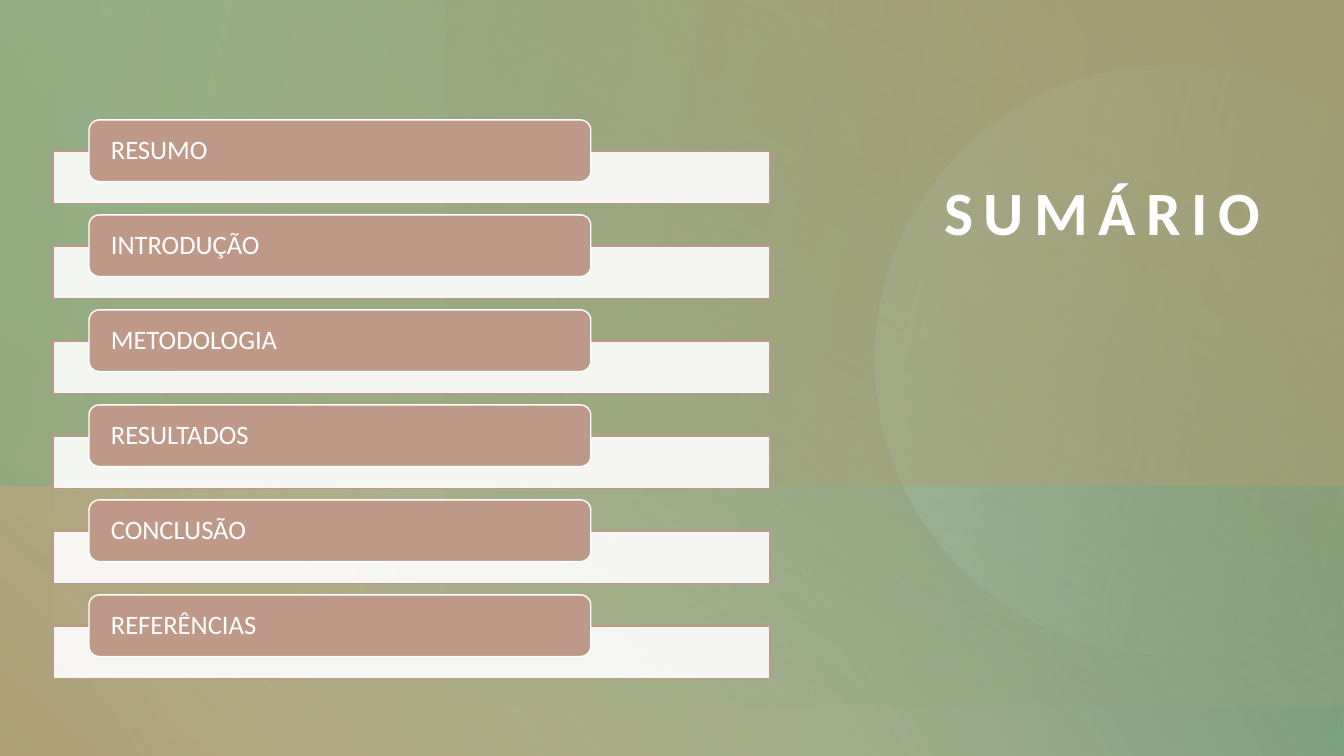
from dataclasses import dataclass
from math import acos, cos, degrees, radians, sin

from lxml.etree import SubElement
from pptx import Presentation
from pptx.dml.color import RGBColor
from pptx.enum.shapes import MSO_SHAPE as Shape
from pptx.enum.text import MSO_ANCHOR as Anchor, MSO_AUTO_SIZE as AutoSize, PP_ALIGN as Align
from pptx.oxml.ns import qn
from pptx.util import Pt

SLIDE_W, SLIDE_H = 960, 540
TOPICS = ["RESUMO", "INTRODUÇÃO", "METODOLOGIA", "RESULTADOS", "CONCLUSÃO", "REFERÊNCIAS"]


@dataclass(frozen=True)
class Theme:
    font: str = "Calibri"
    title_size: int = 44
    topic_size: int = 19
    white: str = "FFFFFF"
    clay: str = "BF9988"
    olive: str = "8CAB74"
    sand: str = "AFA077"
    pale_sand: str = "CFC6AD"
    sage: str = "82AC81"
    forest: str = "528A68"
    mint: str = "77AE8D"
    pale_mint: str = "ADCEBB"


THEME = Theme()


def rgb(color):
    return RGBColor.from_string(color)


def set_opacity(shape, percents):
    """Apply one opacity to each fill colour of the shape, in order."""
    colors = shape.element.spPr.iter(qn("a:srgbClr"))
    for color, percent in zip(colors, percents):
        if percent < 100:
            SubElement(color, qn("a:alpha")).set("val", str(percent * 1000))


def fill_gradient(shape, stops, clockwise_angle):
    """Fill with two (position %, colour, opacity %) stops and no outline."""
    shape.shadow.inherit = False
    shape.fill.gradient()
    shape.fill.gradient_angle = 360 - clockwise_angle
    for stop, (position, color, _) in zip(shape.fill.gradient_stops, stops):
        stop.position = position / 100
        stop.color.rgb = rgb(color)
    set_opacity(shape, [opacity for _, _, opacity in stops])
    shape.line.fill.background()


def add_wash(slide, box, stops, angle, mirrored=True):
    wash = slide.shapes.add_shape(Shape.RECTANGLE, *map(Pt, box))
    fill_gradient(wash, stops, angle)
    wash.rotation = 180
    if mirrored:
        wash.element.spPr.find(qn("a:xfrm")).set("flipH", "1")


def add_disc(slide, center_x, center_y, radius, right_edge):
    """Add a circle cut off by a vertical line at right_edge."""
    cut = degrees(acos((right_edge - center_x) / radius))
    steps = 120
    angles = [radians(cut + (360 - 2 * cut) * i / steps) for i in range(steps + 1)]
    points = [(Pt(center_x + radius * cos(a)), Pt(center_y + radius * sin(a))) for a in angles]
    outline = slide.shapes.build_freeform(*points[0])
    outline.add_line_segments(points[1:], close=True)
    fill_gradient(outline.convert_to_shape(),
                  [(0, THEME.mint, 0), (85, THEME.pale_mint, 29)], 193)


def add_backdrop(slide, width, height):
    slide.background.fill.solid()
    slide.background.fill.fore_color.rgb = rgb(THEME.white)
    add_wash(slide, (0, 0, width, height),
             [(0, THEME.olive, 61), (100, THEME.sand, 100)], 230)
    add_wash(slide, (38, 0, width - 38, height),
             [(6, THEME.forest, 93), (100, THEME.pale_sand, 0)], 330, mirrored=False)
    add_wash(slide, (318, 0, width - 318, height - 36),
             [(22, THEME.sand, 68), (99, THEME.sage, 0)], 240)
    add_disc(slide, 836, 257, 211, width)
    add_wash(slide, (0, 0, width, 346.5),
             [(22, THEME.sand, 49), (99, THEME.sage, 62)], 170)


def format_text(frame, size, align, anchor, side_inset=0):
    frame.word_wrap = True
    frame.auto_size = AutoSize.NONE
    frame.vertical_anchor = anchor
    frame.margin_top = frame.margin_bottom = 0
    frame.margin_left = frame.margin_right = Pt(side_inset)
    paragraph = frame.paragraphs[0]
    paragraph.alignment = align
    font = paragraph.runs[0].font
    font.name, font.size = THEME.font, Pt(size)
    font.color.rgb = rgb(THEME.white)
    return font


def place_title(slide, box, text):
    title = slide.shapes.title
    title.left, title.top, title.width, title.height = map(Pt, box)
    title.text_frame.text = text
    font = format_text(title.text_frame, THEME.title_size, Align.RIGHT, Anchor.TOP)
    font.bold = True
    title.text_frame.paragraphs[0].runs[0].font._element.set("spc", "750")
    title.element.getparent().append(title.element)  # bring in front of the backdrop


def add_panel(slide, kind, box, fill, outline):
    panel = slide.shapes.add_shape(kind, *map(Pt, box))
    panel.shadow.inherit = False
    panel.fill.solid()
    panel.fill.fore_color.rgb = rgb(fill)
    panel.line.color.rgb = rgb(outline)
    panel.line.width = Pt(1)
    return panel


def add_topics(slide, left, top, width, pitch, topics):
    """Stack one bar with an overlapping label tab per topic."""
    for row, topic in enumerate(topics):
        y = top + row * pitch
        bar = add_panel(slide, Shape.RECTANGLE, (left, y + 22.3, width, 37.3),
                        THEME.white, THEME.clay)
        set_opacity(bar, [90])
        tab = add_panel(slide, Shape.ROUNDED_RECTANGLE,
                        (left + 0.05 * width, y, 0.7 * width, 44), THEME.clay, THEME.white)
        tab.text_frame.text = topic
        format_text(tab.text_frame, THEME.topic_size, Align.LEFT, Anchor.MIDDLE, side_inset=13.5)
        tab.text_frame.paragraphs[0].line_spacing = 0.9


def main():
    deck = Presentation()
    deck.slide_width, deck.slide_height = Pt(SLIDE_W), Pt(SLIDE_H)
    slide = deck.slides.add_slide(deck.slide_layouts[5])
    add_backdrop(slide, SLIDE_W, SLIDE_H)
    place_title(slide, (177, 124.5, 723.5, 191.5), "SUMÁRIO")
    add_topics(slide, 38, 85.7, 512, 67.85, TOPICS)
    deck.save("out.pptx")


if __name__ == "__main__":
    main()
